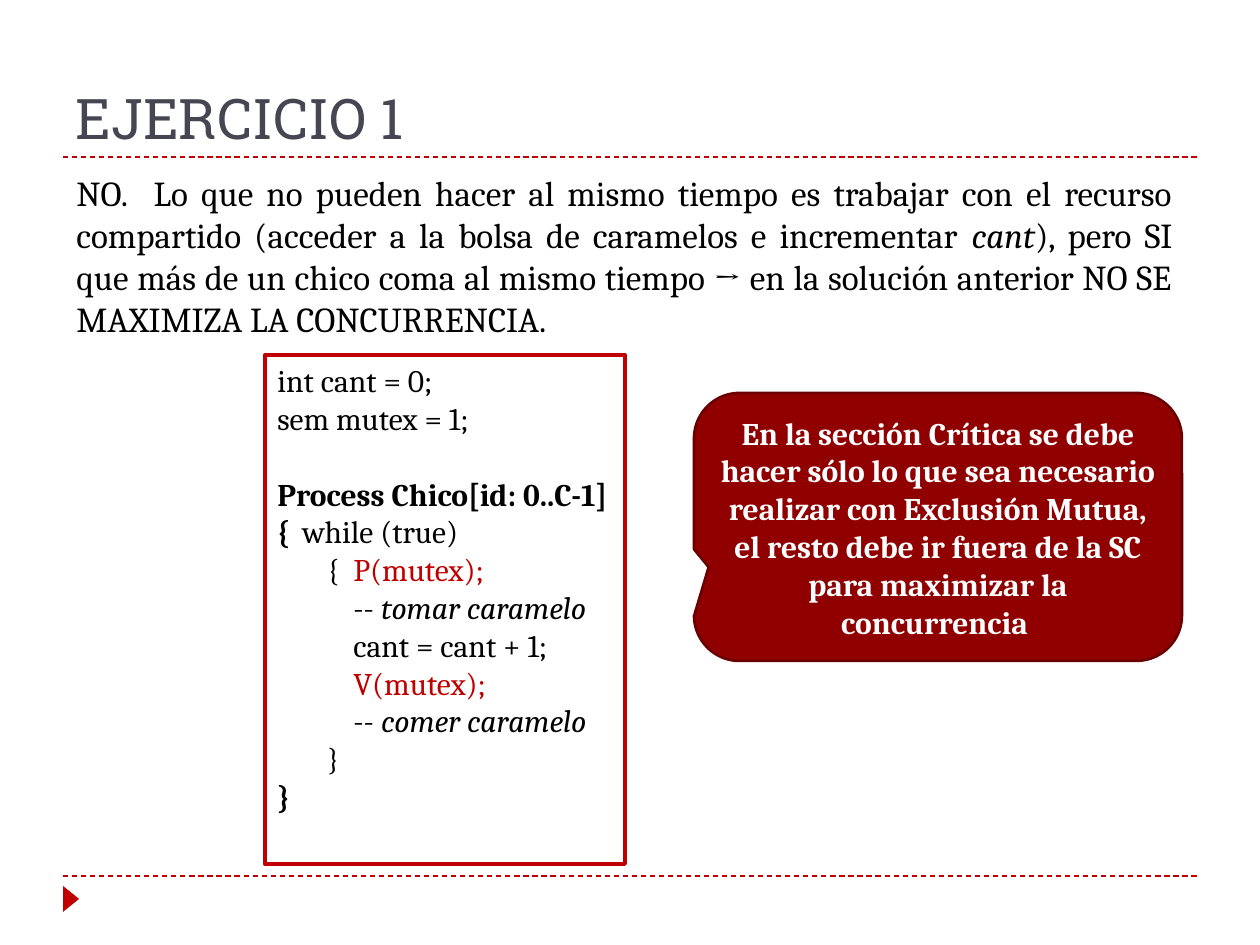
import pptx
import pptx.util
import pptx.oxml
import pptx.dml.color
import pptx.enum.dml
import pptx.enum.shapes
import pptx.enum.text

PX = 914400 // 126
HUE = {"red": "C00000", "dark": "900000", "edge": "6B0000",
       "slate": "464653", "black": "000000", "white": "FFFFFF"}
KIND = pptx.enum.shapes.MSO_SHAPE
ALIGN = pptx.enum.text.PP_ALIGN
ANCHOR = pptx.enum.text.MSO_ANCHOR


def rgb(name):
    return pptx.dml.color.RGBColor.from_string(HUE[name])


def write(para, text, size=18, font="Cambria", hue="black", bold=False, slant=False):
    run = para.add_run()
    run.text = text
    run.font.size = pptx.util.Pt(size)
    run.font.name = font
    run.font.color.rgb = rgb(hue)
    run.font.bold = bold
    run.font.italic = slant


deck = pptx.Presentation()
deck.slide_width, deck.slide_height = 1260 * PX, 945 * PX
slide = deck.slides.add_slide(deck.slide_layouts[5])
shapes = slide.shapes

# Dashed rules
for y in (876, 157):
    rule = shapes.add_connector(
        pptx.enum.shapes.MSO_CONNECTOR.STRAIGHT, 63 * PX, y * PX, 1197 * PX, y * PX)
    rule.line.color.rgb = rgb("red")
    rule.line.width = pptx.util.Pt(0.75)
    rule.line.dash_style = pptx.enum.dml.MSO_LINE.DASH
    rule._element.spPr.append(pptx.oxml.parse_xml(
        '<a:effectLst xmlns:a="http://schemas.openxmlformats.org/drawingml/2006/main"/>'))

# Corner marker
mark = shapes.add_shape(KIND.ISOSCELES_TRIANGLE, 58 * PX, 891 * PX, 26 * PX, 16 * PX)
mark.rotation = 90
mark.shadow.inherit = False
mark.fill.solid()
mark.fill.fore_color.rgb = rgb("red")
mark.line.fill.background()

# Title
title = shapes.title
title.left, title.top, title.width, title.height = 63 * PX, 21 * PX, 1134 * PX, 136 * PX
frame = title.text_frame
frame.auto_size = pptx.enum.text.MSO_AUTO_SIZE.NONE
frame.vertical_anchor = ANCHOR.BOTTOM
frame.paragraphs[0].alignment = ALIGN.LEFT
write(frame.paragraphs[0], "EJERCICIO 1", size=32, font="Roboto Slab", hue="slate")

# Answer
body = shapes.add_textbox(64 * PX, 165 * PX, 1121 * PX, 183 * PX).text_frame
body.word_wrap = True
para = body.paragraphs[0]
para.alignment = ALIGN.JUSTIFY
write(para, "NO.  Lo que no pueden hacer al mismo tiempo es trabajar con el recurso "
      "compartido (acceder a la bolsa de caramelos e incrementar ", size=20)
write(para, "cant", size=20, slant=True)
write(para, "), pero SI que más de un chico coma al mismo tiempo → en la solución "
      "anterior NO SE MAXIMIZA LA CONCURRENCIA.", size=20)

# Code box: margin, hanging indent, then runs with their format
CODE = [
    (0, 0, [("int cant = 0;", {})]),
    (0, 0, [("sem mutex = 1;", {})]),
    (0, 0, [("Process Chico[id: 0..C-1]", {"bold": True})]),
    (25, 25, [("{", {"bold": True}), ("\twhile (true)", {})]),
    (76, 26, [("{", {}), ("\tP(mutex);", {"hue": "red"})]),
    (76, 0, [("-- ", {}), ("tomar caramelo", {"slant": True})]),
    (76, 0, [("cant = cant + 1;", {})]),
    (76, 0, [("V(mutex);", {"hue": "red"})]),
    (76, 0, [("-- ", {}), ("comer caramelo", {"slant": True})]),
    (50, 0, [("}", {})]),
    (0, 0, [("}", {"bold": True})]),
]
box = shapes.add_shape(KIND.RECTANGLE, 265 * PX, 355 * PX, 360 * PX, 509 * PX)
box.shadow.inherit = False
box.fill.background()
box.line.color.rgb = rgb("red")
box.line.width = pptx.util.Pt(2.25)
frame = box.text_frame
frame.word_wrap = True
frame.vertical_anchor = ANCHOR.TOP
for row, (left, hang, runs) in enumerate(CODE):
    para = frame.paragraphs[0] if row == 0 else frame.add_paragraph()
    para.alignment = ALIGN.LEFT
    props = para._p.get_or_add_pPr()
    props.set("marL", str(left * PX))
    props.set("indent", str(-hang * PX))
    if row == 2:
        para.space_before = pptx.util.Pt(21.6)
    for text, form in runs:
        write(para, text, **form)

# Callout
note = shapes.add_shape(
    KIND.ROUNDED_RECTANGULAR_CALLOUT, 694 * PX, 393 * PX, 488 * PX, 268 * PX)
for spot, value in enumerate((-0.47, 0.15, 0.17)):
    note.adjustments[spot] = value
note.shadow.inherit = False
note.fill.solid()
note.fill.fore_color.rgb = rgb("dark")
note.line.color.rgb = rgb("edge")
note.line.width = pptx.util.Pt(1.5)
frame = note.text_frame
frame.word_wrap = True
frame.vertical_anchor = ANCHOR.MIDDLE
frame.paragraphs[0].alignment = ALIGN.CENTER
write(frame.paragraphs[0], "En la sección Crítica se debe hacer sólo lo que sea necesario "
      "realizar con Exclusión Mutua, el resto debe ir fuera de la SC para maximizar "
      "la concurrencia ", hue="white", bold=True)

deck.save("out.pptx")
